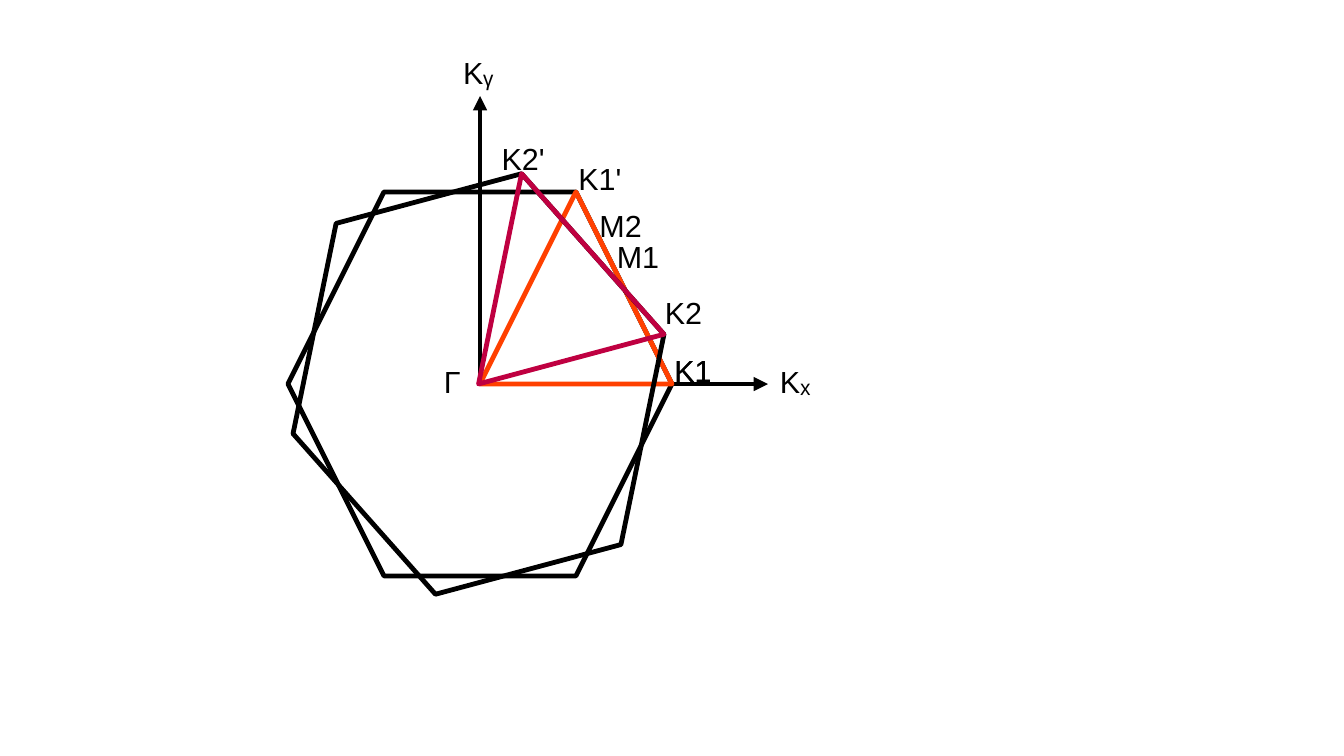
import math
from dataclasses import dataclass

from lxml import etree
from pptx import Presentation
from pptx.dml.color import RGBColor
from pptx.enum.shapes import MSO_CONNECTOR, MSO_SHAPE
from pptx.oxml.ns import qn
from pptx.util import Cm, Pt

HEXAGON, TRIANGLE = MSO_SHAPE.HEXAGON, MSO_SHAPE.ISOSCELES_TRIANGLE
STRAIGHT = MSO_CONNECTOR.STRAIGHT


@dataclass(frozen=True)
class Theme:
    ink: RGBColor = RGBColor(0x00, 0x00, 0x00)
    layer1: RGBColor = RGBColor(0xFF, 0x40, 0x00)
    layer2: RGBColor = RGBColor(0xBF, 0x00, 0x41)
    font: str = "Arial"
    size: float = 18
    line: float = 2.83


THEME = Theme()

# Content: lengths on a 28 x 15.75 grid of 1 cm squares
COLS, ROWS = 28, 15.75
GAMMA = (10, 8)
GAMMA_TWISTED = (9.97, 8)
RADIUS, AXIS, TWIST = 4, 6, -15

# Label: text, column, row, width, height
LABELS_LAYER1 = [
    ("Kₓ", 16, 7.44, 1.2, 0.97),
    ("Kᵧ", 9.4, 1, 1.2, 0.97),
    ("Γ", 9, 7.44, 1, 0.97),
    ("K1", 13.8, 7.2, 1.4, 1.68),
    ("K1ʹ", 11.8, 3.2, 1.6, 1.68),
    ("M1", 12.6, 4.83, 1.6, 1.68),
]
LABELS_LAYER2 = [
    ("K2", 13.6, 6, 1.4, 1.68),
    ("K1", 13.8, 7.21, 1.4, 1.68),
    ("M2", 12.24, 4.19, 1.6, 1.68),
    ("K2ʹ", 10.2, 2.8, 1.6, 1.68),
]


def add_axis(slide, dx, dy):
    x, y = GAMMA
    c = slide.shapes.add_connector(
        STRAIGHT, Cm(x), Cm(y), Cm(x + dx), Cm(y + dy))
    c.line.color.rgb = THEME.ink
    c.line.width = Pt(THEME.line)
    etree.SubElement(c.line._get_or_add_ln(), qn("a:tailEnd"), type="triangle")
    etree.SubElement(c._element.spPr, qn("a:effectLst"))


def add_outline(slide, kind, center, side, color, angle):
    x, y = center
    sp = slide.shapes.add_shape(
        kind, Cm(x - side / 2), Cm(y - side / 2), Cm(side), Cm(side))
    sp.rotation = angle
    sp.shadow.inherit = False
    sp.fill.background()
    sp.line.color.rgb = color
    sp.line.width = Pt(THEME.line)


def add_zone(slide, origin, color, angle):
    """Hexagonal zone and the triangle from its centre, turned together."""
    x, y = origin
    turn = math.radians(angle)
    half = RADIUS / 2
    dx = half * (math.cos(turn) + math.sin(turn))
    dy = half * (math.sin(turn) - math.cos(turn))
    add_outline(slide, HEXAGON, origin, 2 * RADIUS, THEME.ink, angle)
    add_outline(slide, TRIANGLE, (x + dx, y + dy), RADIUS, color, angle)


def add_labels(slide, labels):
    for text, *box in labels:
        tf = slide.shapes.add_textbox(*map(Cm, box)).text_frame
        tf.word_wrap = True
        p = tf.paragraphs[0]
        p.text = text
        p.font.name = THEME.font
        p.font.size = Pt(THEME.size)
        p.font.color.rgb = THEME.ink


def main():
    prs = Presentation()
    prs.slide_width, prs.slide_height = Cm(COLS), Cm(ROWS)
    slide = prs.slides.add_slide(prs.slide_layouts[6])

    # First layer, between the two axes
    add_axis(slide, AXIS, 0)
    add_zone(slide, GAMMA, THEME.layer1, 0)
    add_axis(slide, 0, -AXIS)
    add_labels(slide, LABELS_LAYER1)

    # Second layer, twisted
    add_zone(slide, GAMMA_TWISTED, THEME.layer2, TWIST)
    add_labels(slide, LABELS_LAYER2)

    prs.save("out.pptx")


if __name__ == "__main__":
    main()
